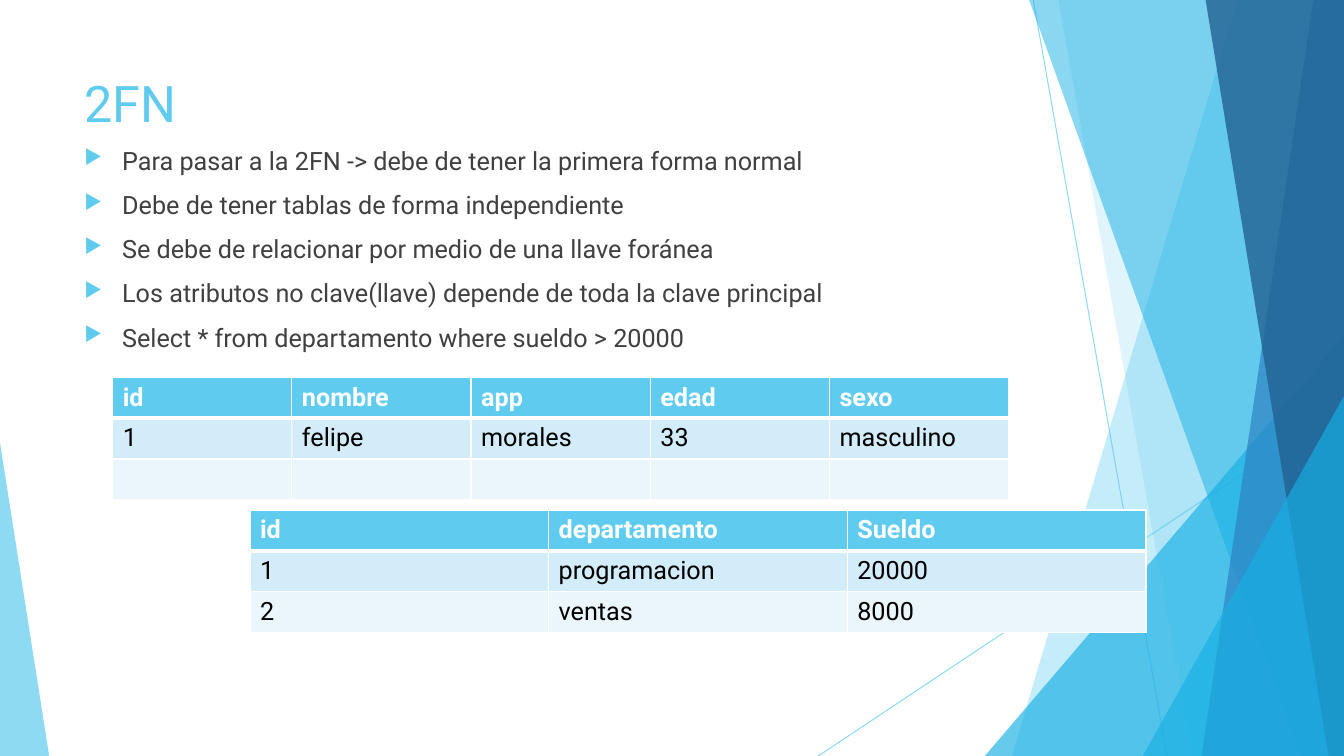
import dataclasses

import lxml.etree
import pptx
import pptx.dml.color
import pptx.enum.shapes
import pptx.oxml.ns
import pptx.util

Cm = pptx.util.Cm
Pt = pptx.util.Pt
qn = pptx.oxml.ns.qn


@dataclasses.dataclass(frozen=True)
class Theme:
    """Hold the colours, type sizes and page size in centimetres."""
    font: str = "Roboto"
    sky: str = "5FCBEF"
    cyan: str = "17B0E4"
    blue: str = "2E83C3"
    navy: str = "226292"
    white: str = "FFFFFF"
    black: str = "000000"
    body: str = "404040"
    bands: tuple = ("D2ECF9", "EAF6FC")
    title_size: int = 36
    text_size: int = 18
    width: float = 33.87
    height: float = 19.05


THEME = Theme()

BULLETS = (
    "Para pasar a la 2FN -> debe de tener la primera forma normal",
    "Debe de tener tablas de forma independiente",
    "Se debe de relacionar por medio de una llave foránea",
    "Los atributos no clave(llave) depende de toda la clave principal",
    "Select * from departamento where sueldo > 20000",
)
PEOPLE = (
    ("id", "nombre", "app", "edad", "sexo"),
    ("1", "felipe", "morales", "33", "masculino"),
    ("", "", "", "", ""),
)
DEPARTMENTS = (
    ("id", "departamento", "Sueldo"),
    ("1", "programacion", "20000"),
    ("2", "ventas", "8000"),
)


def rgb(colour):
    """Turn a hex string into a colour object."""
    return pptx.dml.color.RGBColor.from_string(colour)


def add_xml(parent, tag, **attributes):
    """Append a child element with the given attributes."""
    child = lxml.etree.SubElement(parent, qn(tag))
    for name, value in attributes.items():
        child.set(name, str(value))
    return child


def set_opacity(shape, percent):
    """Give every colour of a shape the same opacity."""
    for colour in list(shape._element.spPr.iter(qn("a:srgbClr"))):
        add_xml(colour, "a:alpha", val=percent * 1000)


def paint(shape, colour, opacity):
    """Fill a shape with a translucent colour and no outline."""
    shape.shadow.inherit = False
    shape.fill.solid()
    shape.fill.fore_color.rgb = rgb(colour)
    shape.line.fill.background()
    set_opacity(shape, opacity)


def add_line(page, start, end):
    """Draw a thin translucent line."""
    line = page.shapes.add_connector(
        pptx.enum.shapes.MSO_CONNECTOR.STRAIGHT,
        *(Cm(value) for value in start + end))
    line.line.color.rgb = rgb(THEME.sky)
    line.line.width = Pt(0.75)
    set_opacity(line, 70)
    add_xml(line._element.spPr, "a:effectLst")


def add_panel(page, top_left, bottom_left, colour, opacity):
    """Draw a full-height panel that slants on its left side."""
    outline = page.shapes.build_freeform(Cm(top_left), Cm(-0.02))
    corners = ((THEME.width, -0.02), (THEME.width, THEME.height),
               (bottom_left, THEME.height))
    outline.add_line_segments([(Cm(x), Cm(y)) for x, y in corners], close=True)
    paint(outline.convert_to_shape(), colour, opacity)


def add_triangle(page, left, top, right, apex, colour, opacity):
    """Draw a triangle that stands on the bottom of the page."""
    triangle = page.shapes.add_shape(
        pptx.enum.shapes.MSO_SHAPE.ISOSCELES_TRIANGLE,
        Cm(left), Cm(top), Cm(right - left), Cm(THEME.height - top))
    triangle.adjustments[0] = apex
    paint(triangle, colour, opacity)


def write(para, text, size=THEME.text_size, colour=THEME.body, bold=False):
    """Add formatted text to a paragraph."""
    span = para.add_run()
    span.text = text
    span.font.name = THEME.font
    span.font.size = Pt(size)
    span.font.bold = bold
    span.font.color.rgb = rgb(colour)


def add_bullet(para):
    """Give a paragraph a hanging arrow bullet."""
    para.space_before = Pt(10)
    properties = para._p.get_or_add_pPr()
    properties.set("marL", str(Cm(0.95)))
    properties.set("indent", str(Cm(-0.95)))
    add_xml(add_xml(properties, "a:buClr"), "a:srgbClr", val=THEME.sky)
    add_xml(properties, "a:buSzPct", val=80000)
    add_xml(properties, "a:buChar", char="▶")


def add_text(page, top, height, lines, bulleted=False, **style):
    """Add a text box in the main column with one paragraph per line."""
    box = page.shapes.add_textbox(Cm(1.88), Cm(top), Cm(23.88), Cm(height))
    frame = box.text_frame
    frame.word_wrap = True
    for index, line in enumerate(lines):
        para = frame.add_paragraph() if index else frame.paragraphs[0]
        if bulleted:
            add_bullet(para)
        write(para, line, **style)


def add_border(cell, side, points):
    """Draw a white border on one side of a cell."""
    border = add_xml(cell._tc.get_or_add_tcPr(), "a:ln" + side, w=Pt(points))
    add_xml(add_xml(border, "a:solidFill"), "a:srgbClr", val=THEME.white)


def format_cell(cell, text, row):
    """Style a header cell or a banded body cell and write its text."""
    header = row == 0
    thick_side = {0: "B", 1: "T"}.get(row)
    for side in "LRTB":
        add_border(cell, side, 3 if side == thick_side else 1)
    cell.fill.solid()
    band = THEME.bands[(row - 1) % 2]
    cell.fill.fore_color.rgb = rgb(THEME.sky if header else band)
    if text:
        write(cell.text_frame.paragraphs[0], text, bold=header,
              colour=THEME.white if header else THEME.black)


def add_grid(page, left, top, rows, header_height):
    """Add a table with equal columns."""
    width, row_height = 22.58, 1.03
    columns = len(rows[0])
    table = page.shapes.add_table(
        len(rows), columns, Cm(left), Cm(top), Cm(width),
        Cm(header_height + row_height * (len(rows) - 1))).table
    for column in table.columns:
        column.width = Cm(width / columns)
    for row, texts in enumerate(rows):
        table.rows[row].height = Cm(row_height if row else header_height)
        for column, text in enumerate(texts):
            format_cell(table.cell(row, column), text, row)


def add_backdrop(page):
    """Draw the slanted blue bands at both sides of the page."""
    right = THEME.width
    add_line(page, (26.04, 0), (29.41, THEME.height))
    add_line(page, (right, 10.24), (20.62, THEME.height))
    add_panel(page, 31.19, 25.5, THEME.sky, 36)
    add_panel(page, 26.67, 30.05, THEME.sky, 20)
    add_triangle(page, 24.82, 8.46, right, 1, THEME.cyan, 66)
    add_panel(page, 25.93, 32.79, THEME.cyan, 50)
    add_panel(page, 33.1, 30.28, THEME.blue, 70)
    add_panel(page, 30.38, 33.48, THEME.navy, 80)
    add_triangle(page, 28.8, 9.98, right, 1, THEME.cyan, 66)
    add_triangle(page, 0, 11.15, 1.24, 0, THEME.sky, 70)


def main():
    """Build the slide and save it."""
    deck = pptx.Presentation()
    deck.slide_width = Cm(THEME.width)
    deck.slide_height = Cm(THEME.height)
    page = deck.slides.add_slide(deck.slide_layouts[6])
    add_backdrop(page)
    add_text(page, 1.7, 3.66, ["2FN"], size=THEME.title_size, colour=THEME.sky)
    add_text(page, 3.53, 13.23, BULLETS, bulleted=True)
    add_grid(page, 2.84, 9.52, PEOPLE, header_height=1)
    add_grid(page, 6.3, 12.85, DEPARTMENTS, header_height=1.03)
    deck.save("out.pptx")


main()
